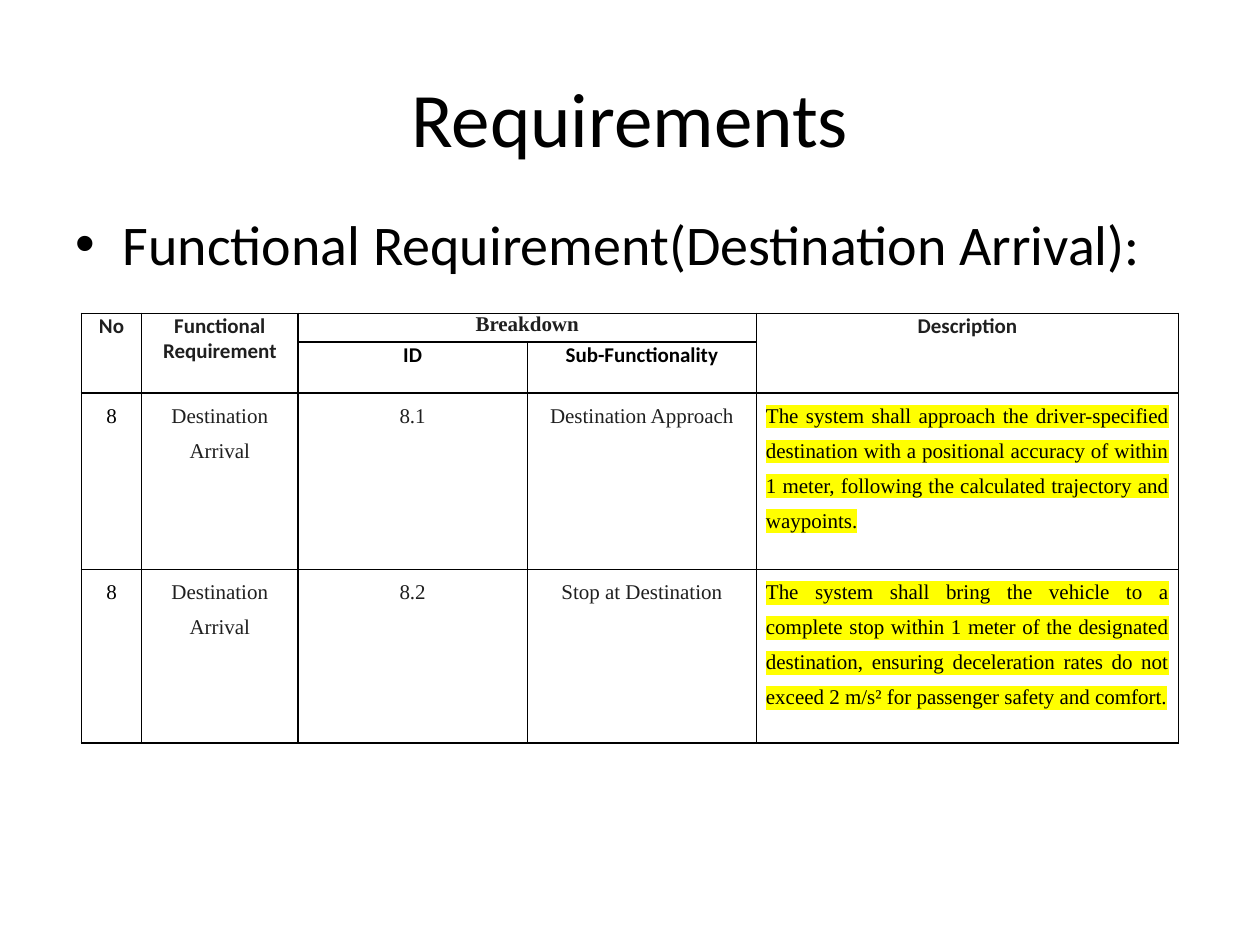
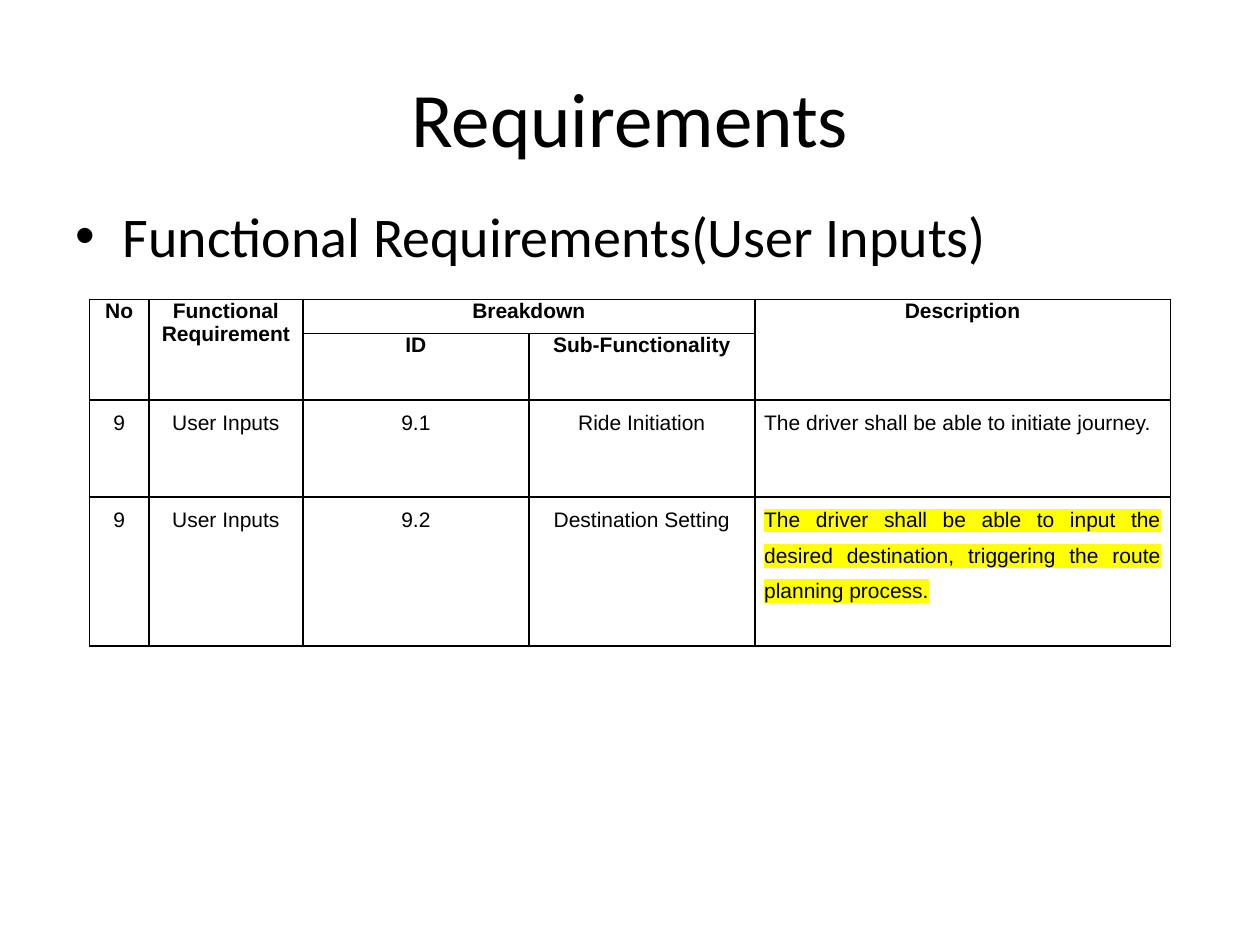
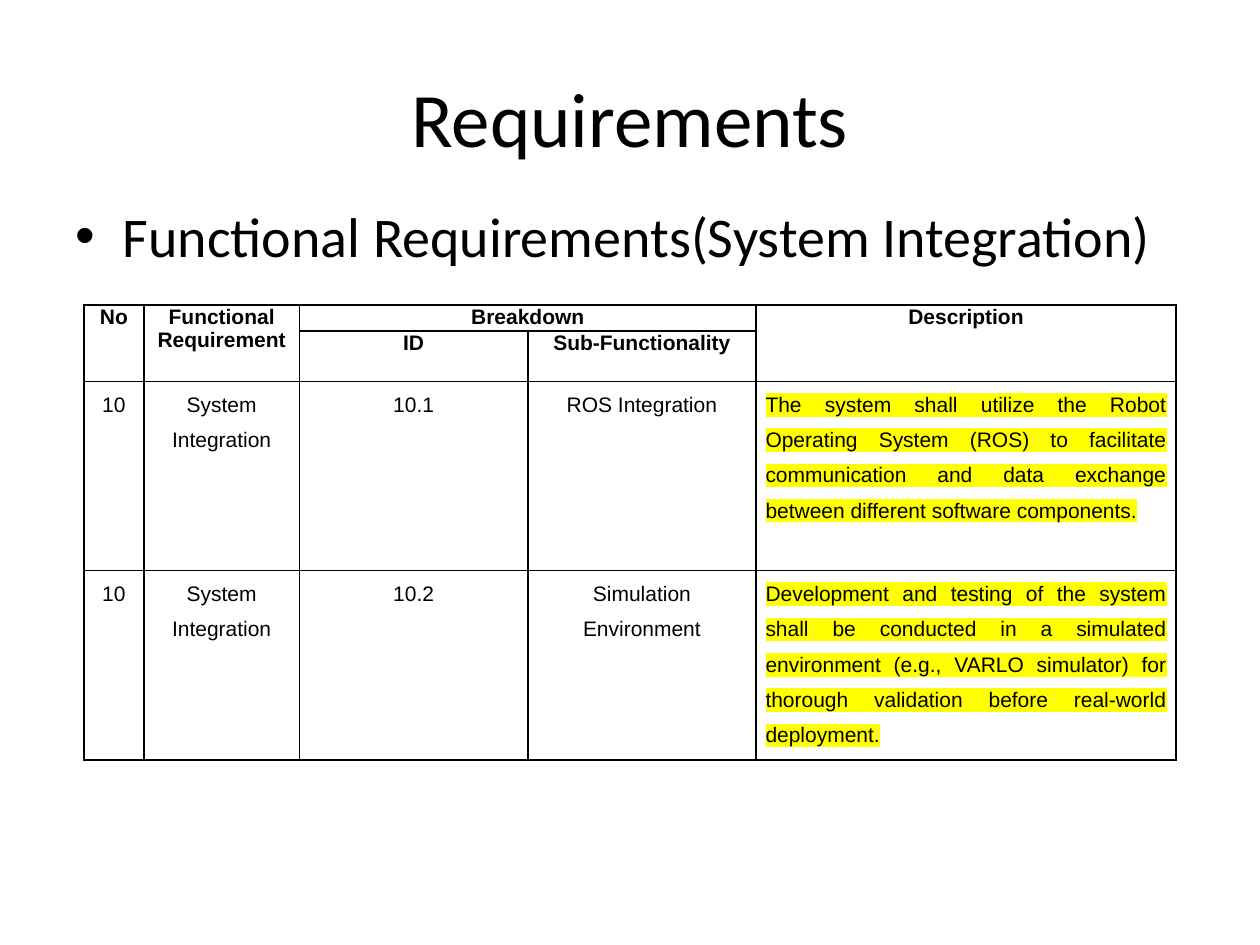
from dataclasses import dataclass

from pptx import Presentation
from pptx.dml.color import RGBColor
from pptx.enum import text as tx
from pptx.oxml import parse_xml, ns
from pptx.util import Pt


@dataclass(frozen=True)
class Theme:
    black: str = "000000"
    dark: str = "1F1F1F"
    mark: str = "FFFF00"
    face: str = "Calibri"
    title: float = 44
    point: float = 32
    cell: float = 12
    wide: float = 720
    high: float = 540
    edge: float = 36
    pad: float = 5.4
    shares: tuple = (0.055, 0.1425, 0.209, 0.209, 0.3845)


T = Theme()
MID = tx.PP_ALIGN.CENTER
HEADS = (
    (0, 0, 1, 0, "No"),
    (0, 1, 1, 1, "Functional Requirement"),
    (0, 2, 0, 3, "Breakdown"),
    (0, 4, 1, 4, "Description"),
    (1, 2, 1, 2, "ID"),
    (1, 3, 1, 3, "Sub-Functionality"),
)
SERIF = {"head": "Calibri", "span": "Times New Roman", "body": "Times New Roman", "ink": T.dark}
SANS = {"head": "Arial", "span": "Arial", "body": "Arial", "ink": T.black}

PAGES = (
    {
        "point": "Functional Requirement(Destination Arrival):",
        "top": 115.9, "grid": 179, "width": 627, "rows": (16.5, 29, 101, 99), "look": SERIF,
        "items": (
            ("8", "Destination Arrival", "8.1", "Destination Approach",
             "The system shall approach the driver-specified destination with a positional accuracy "
             "of within 1 meter, following the calculated trajectory and waypoints.", True),
            ("8", "Destination Arrival", "8.2", "Stop at Destination",
             "The system shall bring the vehicle to a complete stop within 1 meter of the designated "
             "destination, ensuring deceleration rates do not exceed 2 m/s² for passenger safety "
             "and comfort.", True),
        ),
    },
    {
        "point": "Functional Requirements(User Inputs)",
        "top": 111.6, "grid": 171, "width": 617.7, "rows": (19.6, 38, 55.5, 85), "look": SANS,
        "items": (
            ("9", "User Inputs", "9.1", "Ride Initiation",
             "The driver shall be able to initiate journey.", False),
            ("9", "User Inputs", "9.2", "Destination Setting",
             "The driver shall be able to input the desired destination, triggering the route "
             "planning process.", True),
        ),
    },
    {
        "point": "Functional Requirements(System Integration)",
        "top": 111.6, "grid": 174.3, "width": 624.2, "rows": (14.8, 28.6, 108.2, 108.2), "look": SANS,
        "items": (
            ("10", "System Integration", "10.1", "ROS Integration",
             "The system shall utilize the Robot Operating System (ROS) to facilitate communication "
             "and data exchange between different software components.", True),
            ("10", "System Integration", "10.2", "Simulation Environment",
             "Development and testing of the system shall be conducted in a simulated environment "
             "(e.g., VARLO simulator) for thorough validation before real-world deployment.", True),
        ),
    },
)


def apply(obj, vals):
    for key, val in vals.items():
        setattr(obj, key, val)


def node(body):
    return parse_xml(body.replace(" ", f" {ns.nsdecls('a')} ", 1))


def write(para, words, face, size, ink, bold=False, mark=False, **form):
    apply(para, form)
    run = para.add_run()
    run.text = words
    apply(run.font, {"name": face, "size": Pt(size), "bold": bold})
    run.font.color.rgb = RGBColor.from_string(ink)
    if mark:
        fill = run.font._element.find(ns.qn("a:solidFill"))
        fill.addnext(node(f'<a:highlight ><a:srgbClr val="{T.mark}"/></a:highlight>'))


def place(shape, left, top, width, height):
    apply(shape, {"left": Pt(left), "top": Pt(top), "width": Pt(width), "height": Pt(height)})


def title(slide):
    shape = slide.shapes.title
    place(shape, T.edge, 21.6, T.wide - 2 * T.edge, 90)
    shape.text_frame.vertical_anchor = tx.MSO_ANCHOR.MIDDLE
    write(shape.text_frame.paragraphs[0], "Requirements", T.face, T.title, T.black, alignment=MID)


def point(slide, words, top):
    box = slide.shapes.add_textbox(Pt(T.edge), Pt(top), Pt(T.wide - 2 * T.edge), Pt(482.4 - top))
    box.text_frame.word_wrap = True
    para = box.text_frame.paragraphs[0]
    write(para, words, T.face, T.point, T.black, space_before=Pt(6.4))
    props = para._p.get_or_add_pPr()
    apply_xml = {"marL": Pt(27), "indent": -Pt(27)}
    for key, val in apply_xml.items():
        props.set(key, str(val))
    props.append(node('<a:buFont typeface="Arial"/>'))
    props.append(node('<a:buChar char="•"/>'))


def frame(cell):
    apply(cell, {"margin_left": Pt(T.pad), "margin_right": Pt(T.pad),
                 "margin_top": 0, "margin_bottom": 0})
    cell.fill.background()
    props = cell._tc.get_or_add_tcPr()
    for spot, side in enumerate("LRTB"):
        props.insert(spot, node(
            f'<a:ln{side} w="{Pt(1)}"><a:solidFill><a:srgbClr val="{T.black}"/>'
            f'</a:solidFill></a:ln{side}>'))


def grid(slide, page):
    rows, look = page["rows"], page["look"]
    left = (T.wide - page["width"]) / 2
    table = slide.shapes.add_table(
        len(rows), len(T.shares), Pt(left), Pt(page["grid"]),
        Pt(page["width"]), Pt(sum(rows))).table
    apply(table, {"first_row": False, "horz_banding": False})
    for col, share in zip(table.columns, T.shares):
        col.width = Pt(page["width"] * share)
    for row, high in zip(table.rows, rows):
        row.height = Pt(high)
    for cell in table.iter_cells():
        frame(cell)
    for row, col, low, end, words in HEADS:
        cell = table.cell(row, col)
        if (row, col) != (low, end):
            cell.merge(table.cell(low, end))
        gap = Pt(12 if row else 13.9)
        write(cell.text_frame.paragraphs[0], words,
              look["span"] if words == "Breakdown" else look["head"], T.cell,
              T.black if row else look["ink"], True,
              alignment=MID, space_before=gap, space_after=gap)
    for row, (*texts, mark) in enumerate(page["items"], 2):
        for col, words in enumerate(texts):
            last = col == len(texts) - 1
            write(table.cell(row, col).text_frame.paragraphs[0], words, look["body"], T.cell,
                  look["ink"] if 0 < col and not last else T.black, mark=last and mark,
                  alignment=tx.PP_ALIGN.JUSTIFY if last else MID, line_spacing=1.5,
                  space_before=Pt(12), space_after=Pt(12))
    for cell in table.iter_cells():
        if cell.is_spanned:
            para = cell.text_frame.paragraphs[0]
            para._p.append(node(f'<a:endParaRPr sz="{int(T.cell * 100)}"/>'))


def main():
    deck = Presentation()
    apply(deck, {"slide_width": Pt(T.wide), "slide_height": Pt(T.high)})
    for page in PAGES:
        slide = deck.slides.add_slide(deck.slide_layouts[5])
        title(slide)
        point(slide, page["point"], page["top"])
        grid(slide, page)
    deck.save("out.pptx")


if __name__ == "__main__":
    main()
